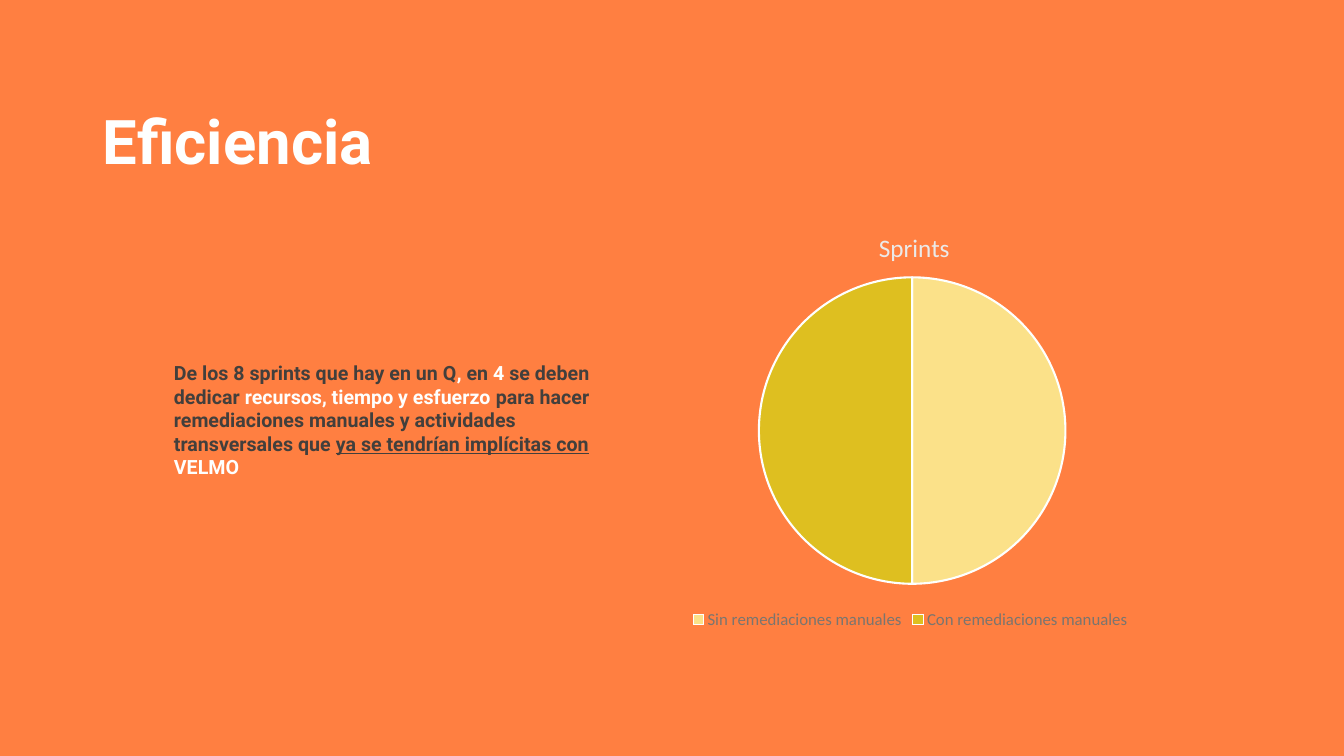
import pptx
import pptx.chart.data
import pptx.dml.color
import pptx.enum.chart
import pptx.enum.text
import pptx.oxml
import pptx.oxml.ns
import pptx.util
from dataclasses import dataclass

TITLE = "Eficiencia"
MESSAGE = [
    ("De los 8 sprints que hay en un Q", "dark", False),
    (", ", "light", False),
    ("en", "dark", False),
    (" 4 ", "light", False),
    ("se deben dedicar ", "dark", False),
    ("recursos, tiempo y esfuerzo", "light", False),
    (" para hacer remediaciones manuales y actividades transversales que ", "dark", False),
    ("ya se tendrían implícitas con", "dark", True),
    (" VELMO", "light", False),
]
CHART_TITLE = "Sprints"
SHARES = {"Sin remediaciones manuales": 50, "Con remediaciones manuales": 50}

WIDTH, HEIGHT = 13.33, 7.5
TITLE_BOX = (0.069, 0.129, 0.399, 0.112)
MESSAGE_BOX = (0.122, 0.471, 0.346, 0.139)
CHART_BOX = (0.432, 0.267, 0.491, 0.571)
CHART_TITLE_AT = {"x": 0.445, "y": 0.055}
PIE_AT = {"x": 0.27, "y": 0.175, "w": 0.465, "h": 0.71}


@dataclass(frozen=True)
class Theme:
    background: str = "FF7F41"
    light: str = "FEFFFE"
    dark: str = "423F3C"
    chart_title: str = "EBEAE9"
    legend: str = "7A756F"
    slices: tuple = ("FBE189", "DEBF20")
    text_font: str = "Roboto"
    chart_font: str = "Calibri"
    title_size: int = 44
    message_size: int = 14
    chart_title_size: int = 18
    legend_size: int = 12


theme = Theme()


def rgb(value):
    return pptx.dml.color.RGBColor.from_string(value)


def place(box):
    return [pptx.util.Inches(share * side)
            for share, side in zip(box, (WIDTH, HEIGHT) * 2)]


def style(font, size, color, name, bold=False, underline=False):
    font.size = pptx.util.Pt(size)
    font.color.rgb = rgb(color)
    font.name = name
    font.bold = bold
    font.underline = underline


def add_text(p, text, **fmt):
    r = p.add_run()
    r.text = text
    style(r.font, **fmt)


def set_frame(tf, anchor):
    tf.word_wrap = True
    tf.auto_size = pptx.enum.text.MSO_AUTO_SIZE.NONE
    tf.vertical_anchor = anchor
    p = tf.paragraphs[0]
    p.alignment = pptx.enum.text.PP_ALIGN.LEFT
    return p


def manual_layout(parent, position, inner=False):
    for old in parent.findall(pptx.oxml.ns.qn("c:layout")):
        parent.remove(old)
    target = '<c:layoutTarget val="inner"/>' if inner else ""
    modes = "".join(f'<c:{k}Mode val="edge"/>' for k in ("x", "y"))
    values = "".join(f'<c:{k} val="{v}"/>' for k, v in position.items())
    return pptx.oxml.parse_xml(
        f'<c:layout {pptx.oxml.ns.nsdecls("c")}><c:manualLayout>'
        f"{target}{modes}{values}</c:manualLayout></c:layout>")


def add_pie(s):
    data = pptx.chart.data.CategoryChartData()
    data.categories = list(SHARES)
    data.add_series("Series 1", list(SHARES.values()))
    kind = pptx.enum.chart.XL_CHART_TYPE.PIE
    chart = s.shapes.add_chart(kind, *place(CHART_BOX), data).chart
    style(chart.font, theme.legend_size, theme.legend, theme.chart_font)

    chart.has_title = True
    add_text(chart.chart_title.text_frame.paragraphs[0], CHART_TITLE,
             size=theme.chart_title_size, color=theme.chart_title,
             name=theme.chart_font)
    title = chart.chart_title._element
    layout = manual_layout(title, CHART_TITLE_AT)
    title.find(pptx.oxml.ns.qn("c:tx")).addnext(layout)

    chart.has_legend = True
    chart.legend.position = pptx.enum.chart.XL_LEGEND_POSITION.BOTTOM
    chart.legend.include_in_layout = False
    style(chart.legend.font, theme.legend_size, theme.legend, theme.chart_font)

    plot = chart.plots[0]
    plot.vary_by_categories = True
    for i, color in enumerate(theme.slices):
        fmt = plot.series[0].points[i].format
        fmt.fill.solid()
        fmt.fill.fore_color.rgb = rgb(color)
        fmt.line.color.rgb = rgb(theme.light)
        fmt.line.width = pptx.util.Pt(1.5)
    area = chart._chartSpace.chart.plotArea
    area.insert(0, manual_layout(area, PIE_AT, inner=True))


def main():
    prs = pptx.Presentation()
    prs.slide_width = pptx.util.Inches(WIDTH)
    prs.slide_height = pptx.util.Inches(HEIGHT)
    s = prs.slides.add_slide(prs.slide_layouts[5])
    s.background.fill.solid()
    s.background.fill.fore_color.rgb = rgb(theme.background)

    sp = s.shapes.title
    sp.left, sp.top, sp.width, sp.height = place(TITLE_BOX)
    p = set_frame(sp.text_frame, pptx.enum.text.MSO_ANCHOR.TOP)
    add_text(p, TITLE, size=theme.title_size, color=theme.light,
             name=theme.text_font, bold=True)

    sp = s.shapes.add_textbox(*place(MESSAGE_BOX))
    p = set_frame(sp.text_frame, pptx.enum.text.MSO_ANCHOR.TOP)
    for text, tone, underline in MESSAGE:
        add_text(p, text, size=theme.message_size, color=getattr(theme, tone),
                 name=theme.text_font, bold=True, underline=underline)

    add_pie(s)
    prs.save("out.pptx")


if __name__ == "__main__":
    main()
